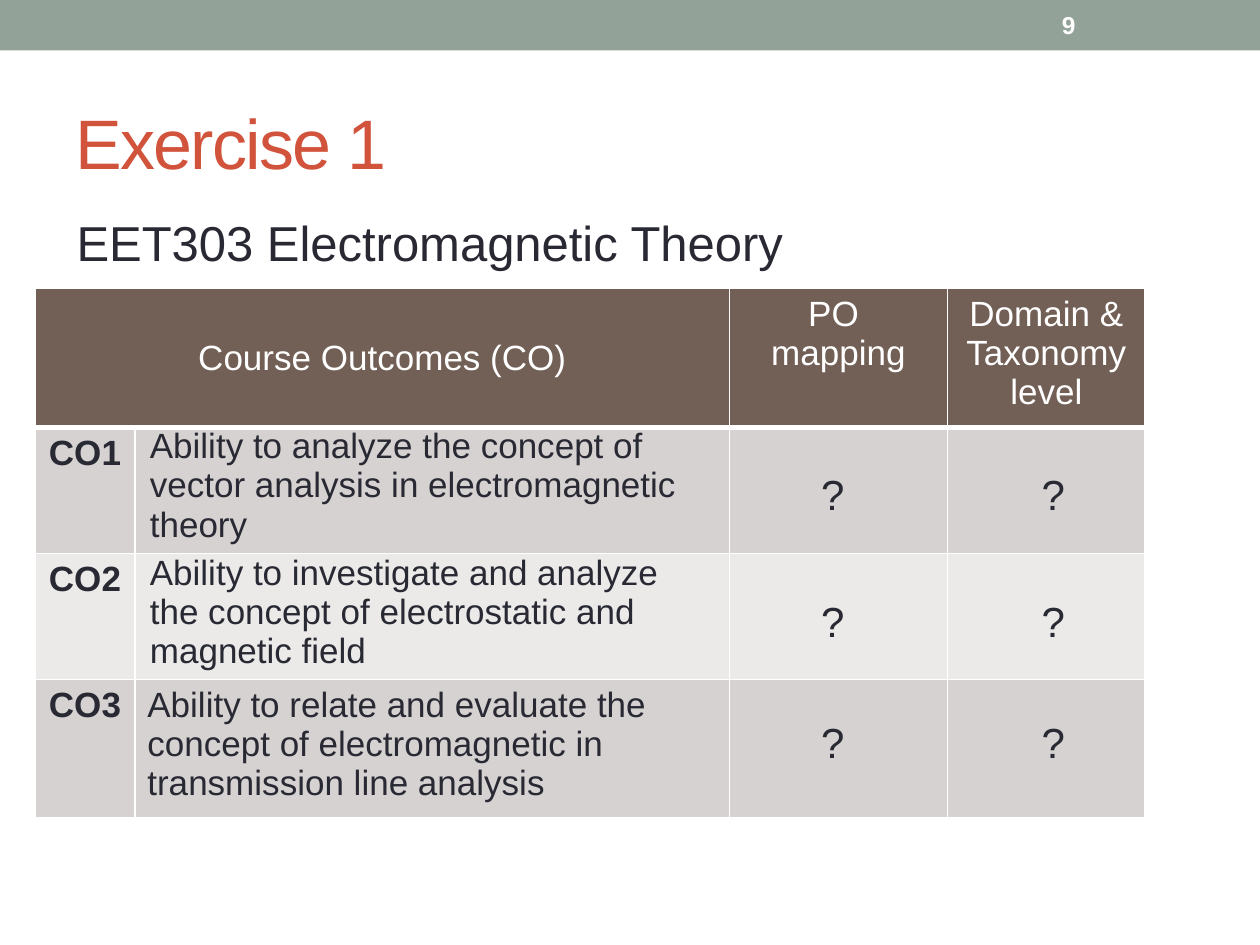
from dataclasses import dataclass

from lxml import etree
from pptx import Presentation
from pptx.dml.color import RGBColor
from pptx.enum.shapes import MSO_SHAPE
from pptx.enum.text import MSO_ANCHOR, PP_ALIGN
from pptx.oxml.ns import qn
from pptx.util import Inches, Pt

RECTANGLE = MSO_SHAPE.RECTANGLE
TOP, MIDDLE = MSO_ANCHOR.TOP, MSO_ANCHOR.MIDDLE
LEFT, CENTER = PP_ALIGN.LEFT, PP_ALIGN.CENTER
TITLE_ONLY = 5


@dataclass(frozen=True)
class Theme:
    """Colours, font and type sizes of the slide."""
    font: str = "Arial"
    band: str = "93A299"
    title: str = "D2533C"
    text: str = "292934"
    white: str = "FFFFFF"
    header: str = "726056"
    odd_row: str = "D5D2D1"
    even_row: str = "EBEAE9"
    title_size: int = 40
    subtitle_size: int = 28
    mark_size: int = 24
    table_size: int = 20
    number_size: int = 14


THEME = Theme()
COLUMN_WIDTHS = (0.79, 4.72, 1.73, 1.57)
ROW_HEIGHTS = (1.02, 0.93, 0.93, 1.02)
HEADERS = {0: "Course Outcomes (CO)", 2: "PO \nmapping",
           3: "Domain & Taxonomy level"}
OUTCOMES = (
    "Ability to analyze the concept of vector analysis in electromagnetic theory ",
    "Ability to investigate and analyze the concept of electrostatic and magnetic field",
    "Ability to relate and evaluate the concept of electromagnetic in "
    "transmission line analysis ",
)


def write_text(frame, text, size, color, align=LEFT, bold=False):
    """Fill a text frame, one paragraph for each line of text."""
    frame.word_wrap = True
    frame.text = text
    formats = {"name": THEME.font, "size": Pt(size), "bold": bold}
    for paragraph in frame.paragraphs:
        paragraph.alignment = align
        for run in paragraph.runs:
            for name, value in formats.items():
                setattr(run.font, name, value)
            run.font.color.rgb = RGBColor.from_string(color)


def add_text(slide, box, text, size, color, align=LEFT, bold=False, anchor=TOP):
    """Add a text box at box (left, top, width, height in inches)."""
    shape = slide.shapes.add_textbox(*map(Inches, box))
    write_text(shape.text_frame, text, size, color, align, bold)
    shape.text_frame.vertical_anchor = anchor


def add_header_band(slide, box, number):
    """Draw the top band with the slide number near its right end."""
    left, top, width, height = box
    band = slide.shapes.add_shape(RECTANGLE, *map(Inches, box))
    band.shadow.inherit = False
    band.fill.solid()
    band.fill.fore_color.rgb = RGBColor.from_string(THEME.band)
    band.line.fill.background()
    number_box = (left + width - 1.67, top + 0.02, 1.17, height - 0.04)
    add_text(slide, number_box, number, THEME.number_size, THEME.white,
             bold=True, anchor=MIDDLE)


def place_title(slide, box, text):
    """Move and format the title placeholder."""
    title = slide.shapes.title
    for name, value in zip(("left", "top", "width", "height"), box):
        setattr(title, name, Inches(value))
    write_text(title.text_frame, text, THEME.title_size, THEME.title)
    title.text_frame.vertical_anchor = MIDDLE
    for run in title.text_frame.paragraphs[0].runs:
        run.font._element.set("spc", "-100")


def set_borders(cell, row):
    """Draw white cell borders, thicker under the header row."""
    properties = cell._tc.get_or_add_tcPr()
    thick = {"lnB": 0, "lnT": 1}
    for index, side in enumerate(("lnL", "lnR", "lnT", "lnB")):
        width = Pt(3 if thick.get(side) == row else 1)
        line = etree.Element(qn(f"a:{side}"), w=str(width))
        fill = etree.SubElement(line, qn("a:solidFill"))
        etree.SubElement(fill, qn("a:srgbClr"), val=THEME.white)
        properties.insert(index, line)


def add_outcome_table(slide, box):
    """Add the course outcome table with its header row."""
    table = slide.shapes.add_table(
        len(ROW_HEIGHTS), len(COLUMN_WIDTHS), *map(Inches, box)).table
    for column, width in zip(table.columns, COLUMN_WIDTHS):
        column.width = Inches(width)
    for row_index, height in enumerate(ROW_HEIGHTS):
        table.rows[row_index].height = Inches(height)
        color = (THEME.header if row_index == 0 else
                 THEME.odd_row if row_index % 2 else THEME.even_row)
        for cell in table.rows[row_index].cells:
            cell.fill.solid()
            cell.fill.fore_color.rgb = RGBColor.from_string(color)
            set_borders(cell, row_index)

    table.cell(0, 0).merge(table.cell(0, 1))
    table.cell(0, 0).vertical_anchor = MIDDLE
    for column, text in HEADERS.items():
        write_text(table.cell(0, column).text_frame, text,
                   THEME.table_size, THEME.white, CENTER)
    for row, outcome in enumerate(OUTCOMES, start=1):
        write_text(table.cell(row, 0).text_frame, f"CO{row}",
                   THEME.table_size, THEME.text, CENTER, bold=True)
        cell = table.cell(row, 1)
        write_text(cell.text_frame, outcome, THEME.table_size, THEME.text)
        if row < len(OUTCOMES):
            cell.margin_left = cell.margin_right = Inches(0.12)
            cell.margin_top = cell.margin_bottom = 0


def add_question_marks(slide, box):
    """Put a question mark in each open cell of the table at box."""
    left, top = box[:2]
    for column_offset in (5.78, 7.53):
        for row_offset in (1.38, 2.39, 3.35):
            mark_box = (left + column_offset, top + row_offset, 1.1, 0.5)
            add_text(slide, mark_box, "?", THEME.mark_size, THEME.text, CENTER)


def build_exercise_slide(presentation):
    """Build the exercise slide from its regions."""
    slide = presentation.slides.add_slide(presentation.slide_layouts[TITLE_ONLY])
    table_box = (0.28, 2.29, sum(COLUMN_WIDTHS), sum(ROW_HEIGHTS))
    add_header_band(slide, (0, 0, 10, 0.4), "9")
    place_title(slide, (0.5, 0.58, 9, 1.08), "Exercise 1")
    add_outcome_table(slide, table_box)
    add_text(slide, (0.51, 1.64, 8.83, 0.57), "EET303 Electromagnetic Theory",
             THEME.subtitle_size, THEME.text)
    add_question_marks(slide, table_box)


def main():
    """Create and save the presentation."""
    presentation = Presentation()
    presentation.slide_width = Inches(10)
    presentation.slide_height = Inches(7.5)
    build_exercise_slide(presentation)
    presentation.save("out.pptx")


main()
